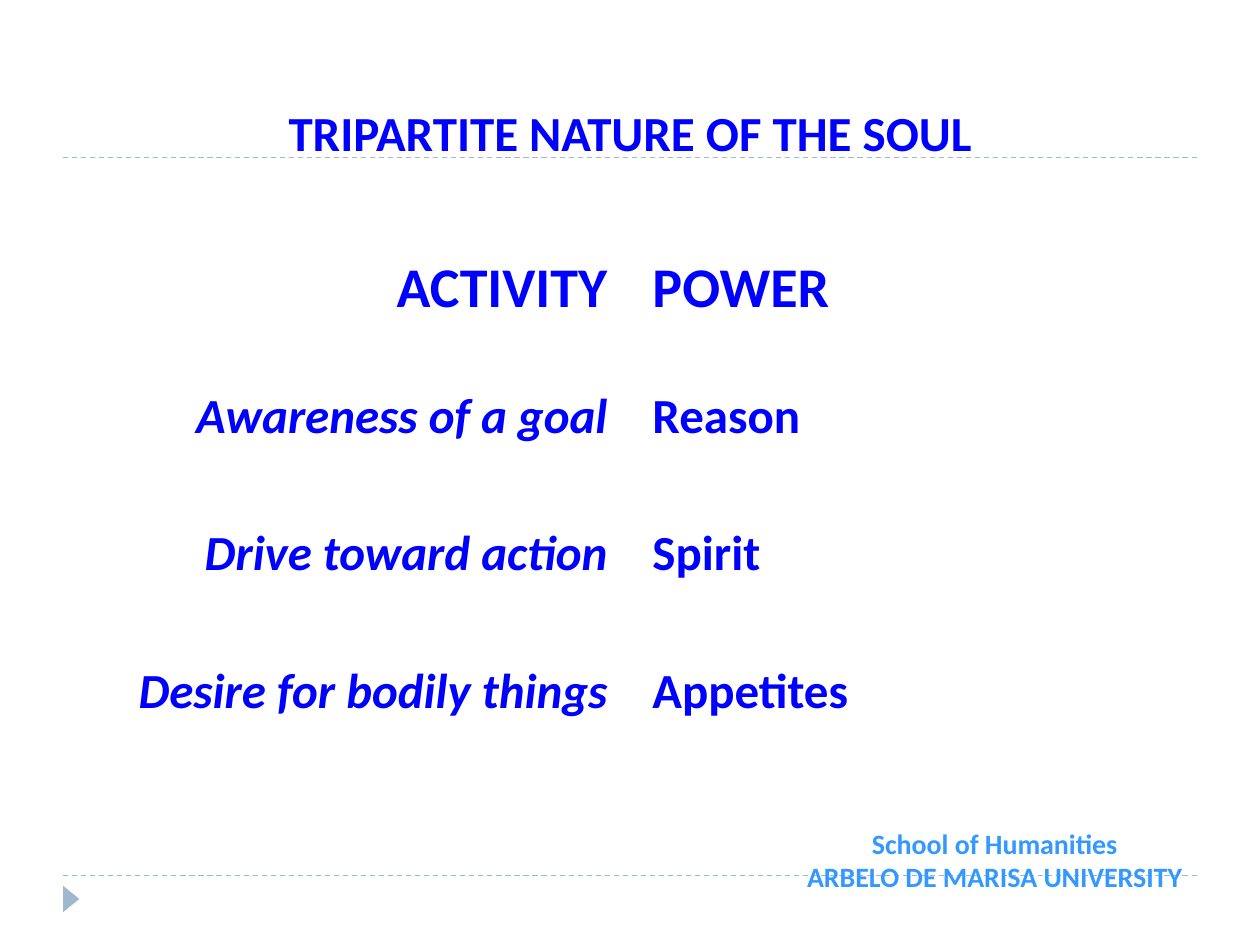
from dataclasses import dataclass

from lxml.etree import SubElement
from pptx import Presentation
from pptx.dml.color import RGBColor
from pptx.enum.dml import MSO_LINE
from pptx.enum.shapes import MSO_CONNECTOR, MSO_SHAPE
from pptx.enum.text import MSO_ANCHOR, PP_ALIGN
from pptx.oxml.ns import qn
from pptx.util import Inches, Pt


@dataclass(frozen=True)
class Theme:
    font: str = "Calibri"
    text: str = "0000FF"
    footer: str = "3399FF"
    accent: str = "9FB8CD"
    paper: str = "FFFFFF"
    title_size: int = 28
    heading_size: int = 32
    body_size: int = 28
    footer_size: int = 16
    hairline: float = 0.75
    row_gap: int = 45


def write_text(frame, paragraphs, *, font, size, color, align=PP_ALIGN.LEFT,
               anchor=MSO_ANCHOR.TOP, italic=False, gap=0):
    frame.word_wrap = True
    frame.vertical_anchor = anchor
    for index, text in enumerate(paragraphs):
        paragraph = frame.add_paragraph() if index else frame.paragraphs[0]
        paragraph.text = text
        paragraph.alignment = align
        paragraph.space_before = Pt(gap if index else 0)
        for target in (paragraph, *paragraph.runs):
            target.font.name = font
            target.font.size = Pt(size)
            target.font.bold = True
            target.font.italic = italic
            target.font.color.rgb = RGBColor.from_string(color)


class SlideBuilder:
    columns, rows = 20, 15

    def __init__(self, presentation, theme):
        self.theme = theme
        self.slide = presentation.slides.add_slide(presentation.slide_layouts[6])
        self.column = presentation.slide_width / self.columns
        self.row = presentation.slide_height / self.rows

    def place(self, left, top, width, height):
        return (round(left * self.column), round(top * self.row),
                round(width * self.column), round(height * self.row))

    def rule(self, row):
        left, top, width, _ = self.place(1, row, 18, 0)
        connector = self.slide.shapes.add_connector(
            MSO_CONNECTOR.STRAIGHT, left, top, left + width, top)
        connector.line.color.rgb = RGBColor.from_string(self.theme.accent)
        connector.line.width = Pt(self.theme.hairline)
        connector.line.dash_style = MSO_LINE.DASH
        SubElement(connector._element.spPr, qn("a:effectLst"))

    def marker(self, *area):
        shape = self.slide.shapes.add_shape(
            MSO_SHAPE.ISOSCELES_TRIANGLE, *self.place(*area))
        shape.rotation = 90
        shape.shadow.inherit = False
        shape.fill.solid()
        shape.fill.fore_color.rgb = RGBColor.from_string(self.theme.accent)
        shape.line.fill.background()

    def text(self, area, *paragraphs, **style):
        shape = self.slide.shapes.add_textbox(*self.place(*area))
        style = {"font": self.theme.font, "color": self.theme.text} | style
        write_text(shape.text_frame, paragraphs, **style)

    def panel(self, area, paragraphs, filled, **style):
        shape = self.slide.shapes.add_shape(MSO_SHAPE.RECTANGLE, *self.place(*area))
        shape.shadow.inherit = False
        paper = RGBColor.from_string(self.theme.paper)
        if filled:
            shape.fill.solid()
            shape.fill.fore_color.rgb = paper
        else:
            shape.fill.background()
        shape.line.color.rgb = paper
        shape.line.width = Pt(self.theme.hairline)
        write_text(shape.text_frame, paragraphs, font=self.theme.font,
                   color=self.theme.text, size=self.theme.body_size,
                   gap=self.theme.row_gap, **style)


def main():
    presentation = Presentation()
    presentation.slide_width = Inches(10)
    presentation.slide_height = Inches(7.5)
    theme = Theme()
    builder = SlideBuilder(presentation, theme)

    for row in (13.9, 2.5):
        builder.rule(row)
    builder.marker(0.92, 14.14, 0.42, 0.26)
    builder.text((1, 0.84, 18, 2.5), "TRIPARTITE NATURE OF THE SOUL",
                 size=theme.title_size, align=PP_ALIGN.CENTER,
                 anchor=MSO_ANCHOR.MIDDLE)

    activities = ("Awareness of a goal", "Drive toward action",
                  "Desire for bodily things")
    powers = ("Reason", "Spirit", "Appetites")
    sides = (
        (1, "ACTIVITY", activities, PP_ALIGN.RIGHT, True),
        (10.16, "POWER", powers, PP_ALIGN.LEFT, False),
    )
    for left, heading, _, align, _ in sides:
        builder.text((left, 3.66, 8.84, 1.5), heading, size=theme.heading_size,
                     align=align, anchor=MSO_ANCHOR.BOTTOM)
    for left, _, entries, align, is_activity in sides:
        builder.panel((left, 6, 8.84, 5.84), entries, filled=is_activity,
                      align=align, italic=is_activity)

    builder.text((12.52, 13.02, 6.54, 1.28),
                 "School of Humanities\vARBELO DE MARISA UNIVERSITY",
                 size=theme.footer_size, color=theme.footer,
                 align=PP_ALIGN.CENTER)
    presentation.save("out.pptx")


if __name__ == "__main__":
    main()
